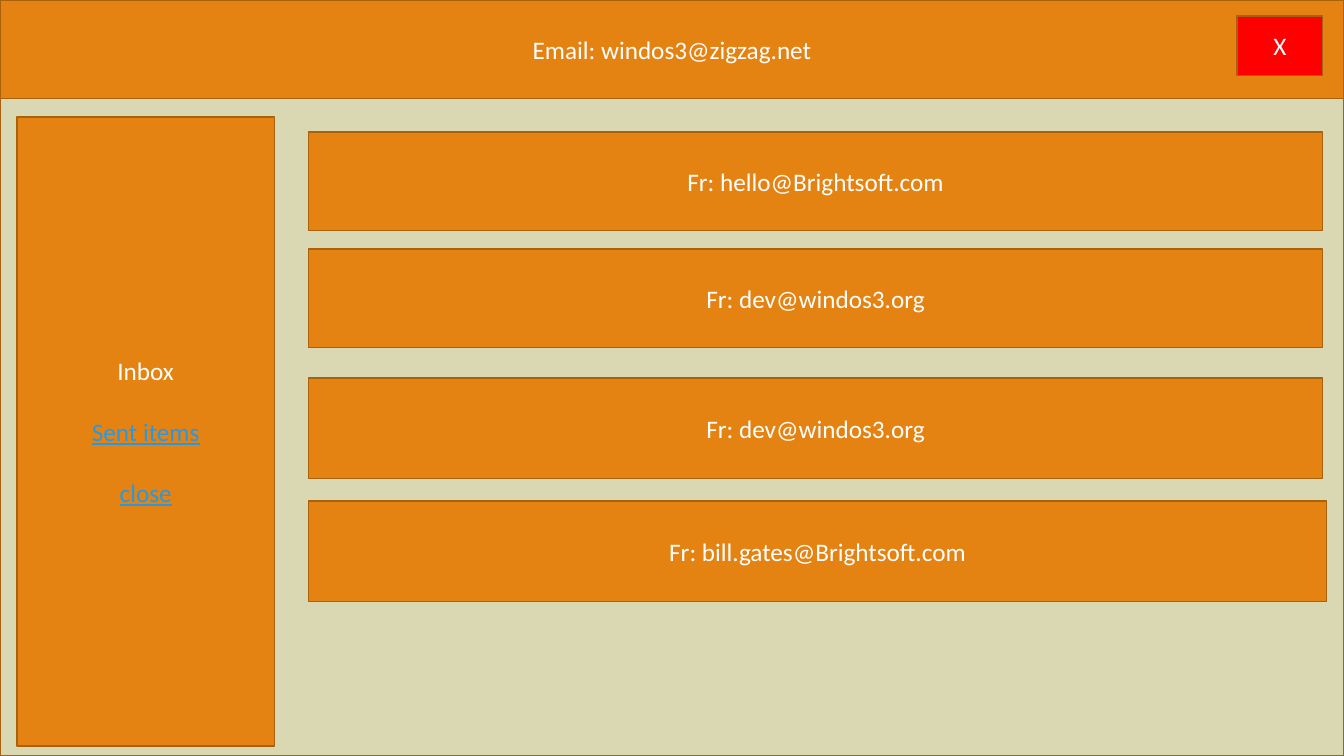
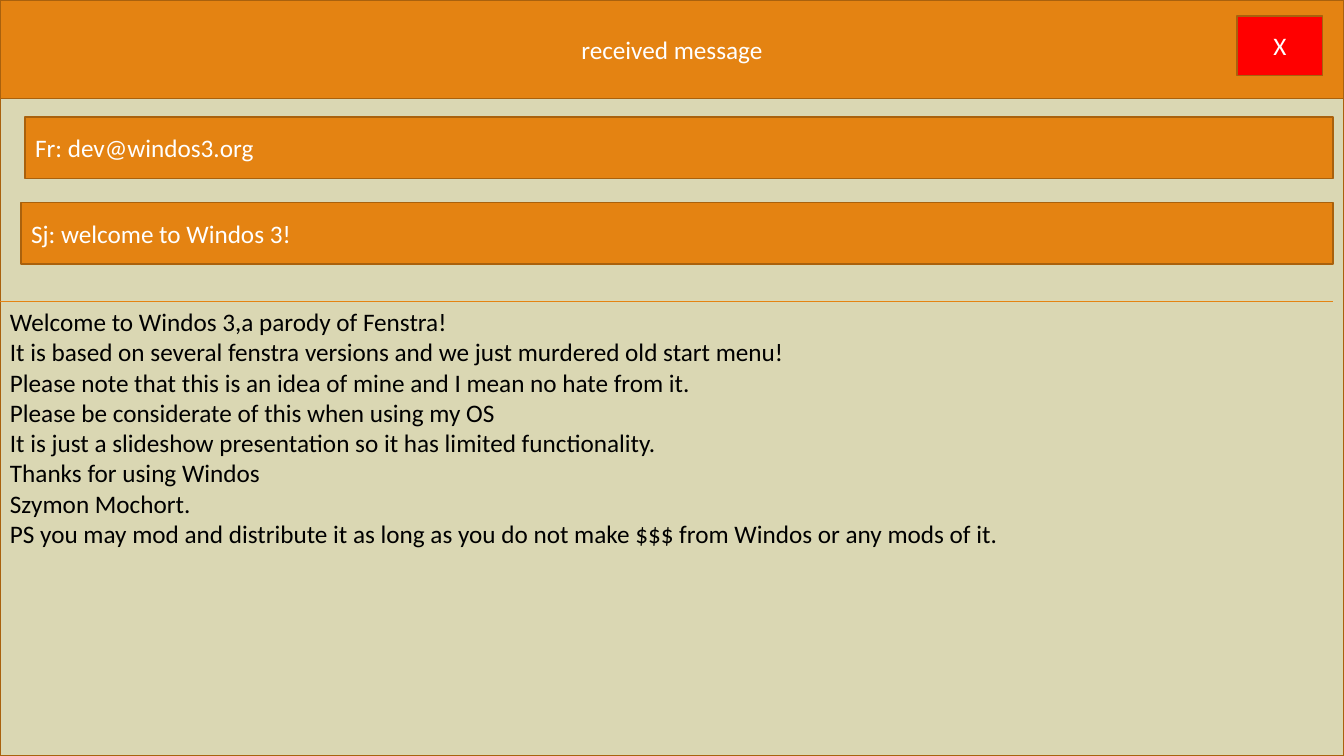
import pptx
import pptx.util
import pptx.dml.color
import pptx.enum.shapes
import pptx.enum.text
import pptx.oxml.ns
import lxml.etree

Inches = pptx.util.Inches
Pt = pptx.util.Pt
ALIGN = pptx.enum.text.PP_ALIGN
ANCHOR = pptx.enum.text.MSO_ANCHOR

COLORS = {
    "page": "DAD7B3",
    "panel": "E48312",
    "edge": "A9610D",
    "close": "FF0000",
    "link": "2998E3",
    "light": "FFFFFF",
    "dark": "000000",
}
FONT = "Calibri"
TEXT_SIZE = 18
PAGE_W, PAGE_H = 13.33, 7.5
HEADER_H = 0.98


def rgb(name):
    return pptx.dml.color.RGBColor.from_string(COLORS[name])


def paint(sp, fill):
    sp.fill.solid()
    sp.fill.fore_color.rgb = rgb(fill)
    sp.line.color.rgb = rgb("edge")
    sp.line.width = Pt(1)


def write(sp, lines, align=ALIGN.CENTER, anchor=ANCHOR.MIDDLE, gap=0):
    """Fill a shape with paragraphs given as (text, colour, underlined)."""
    tf = sp.text_frame
    tf.word_wrap = True
    tf.vertical_anchor = anchor
    for i, (text, color, underlined) in enumerate(lines):
        p = tf.paragraphs[0] if i == 0 else tf.add_paragraph()
        p.alignment = align
        p.space_before = Pt(gap if i else 0)
        r = p.add_run()
        r.text = text
        r.font.name = FONT
        r.font.size = Pt(TEXT_SIZE)
        r.font.color.rgb = rgb(color)
        if underlined:
            r.font.underline = True


def add_box(s, left, top, width, height, fill="panel", lines=(), **style):
    sp = s.shapes.add_shape(
        pptx.enum.shapes.MSO_SHAPE.RECTANGLE,
        Inches(left), Inches(top), Inches(width), Inches(height))
    sp.shadow.inherit = False
    paint(sp, fill)
    write(sp, lines, **style)
    return sp


def add_rule(s, left, right, y):
    line = s.shapes.add_connector(
        pptx.enum.shapes.MSO_CONNECTOR.STRAIGHT,
        Inches(left), Inches(y), Inches(right), Inches(y))
    line.line.color.rgb = rgb("panel")
    line.line.width = Pt(0.5)
    lxml.etree.SubElement(line._element.spPr, pptx.oxml.ns.qn("a:effectLst"))


def add_message(s, left, top, width, height, texts):
    sp = s.shapes.add_textbox(
        Inches(left), Inches(top), Inches(width), Inches(height))
    write(sp, [(text, "dark", False) for text in texts],
          align=ALIGN.LEFT, anchor=ANCHOR.TOP)
    sp.text_frame.auto_size = pptx.enum.text.MSO_AUTO_SIZE.SHAPE_TO_FIT_TEXT


def add_window(prs, title):
    """Start a slide with the page, title bar and close button."""
    s = prs.slides.add_slide(prs.slide_layouts[5])
    add_box(s, 0, 0, PAGE_W, PAGE_H, "page")
    bar = s.shapes.title
    bar.left, bar.top = Inches(0), Inches(0)
    bar.width, bar.height = Inches(PAGE_W), Inches(HEADER_H)
    paint(bar, "panel")
    write(bar, [(title, "light", False)])
    # Bring the title bar in front of the page
    s.shapes._spTree.append(bar._element)
    add_box(s, 12.27, 0.16, 0.85, 0.59, "close", [("X", "light", False)])
    return s


def build_inbox(prs):
    s = add_window(prs, "Email: windos3@zigzag.net")
    # Folder menu
    add_box(s, 0.17, 1.16, 2.55, 6.24, lines=[
        ("Inbox", "light", False),
        ("Sent items", "link", True),
        ("close", "link", True),
    ], gap=22)
    # Mail list
    mails = [
        (1.31, 10.06, 0.98, "Fr: hello@Brightsoft.com"),
        (2.47, 10.06, 0.98, "Fr: dev@windos3.org"),
        (3.75, 10.06, 1, "Fr: dev@windos3.org"),
        (4.97, 10.1, 1, "Fr: bill.gates@Brightsoft.com"),
    ]
    for top, width, height, sender in mails:
        add_box(s, 3.06, top, width, height, lines=[(sender, "light", False)])


def build_message(prs):
    s = add_window(prs, "received message")
    right = 13.22
    # Sender and subject
    fields = [
        (0.25, 1.16, "Fr: dev@windos3.org"),
        (0.21, 2.01, "Sj: welcome to Windos 3!"),
    ]
    for left, top, text in fields:
        add_box(s, left, top, right - left, 0.61,
                lines=[(text, "light", False)], align=ALIGN.LEFT)
    # Message body
    body_top = 2.99
    add_rule(s, 0, right, body_top)
    add_message(s, 0, body_top, right, 2.52, [
        "Welcome to Windos 3,a parody of Fenstra!",
        "It is based on several fenstra versions and we just murdered old start menu!",
        "Please note that this is an idea of mine and I mean no hate from it.",
        "Please be considerate of this when using my OS",
        "It is just a slideshow presentation so it has limited functionality.",
        "Thanks for using Windos",
        "Szymon Mochort.",
        "PS you may mod and distribute it as long as you do not make $$$ from Windos or any mods of it.",
    ])


def main():
    prs = pptx.Presentation()
    prs.slide_width = Inches(PAGE_W)
    prs.slide_height = Inches(PAGE_H)
    build_inbox(prs)
    build_message(prs)
    prs.save("out.pptx")


if __name__ == "__main__":
    main()
